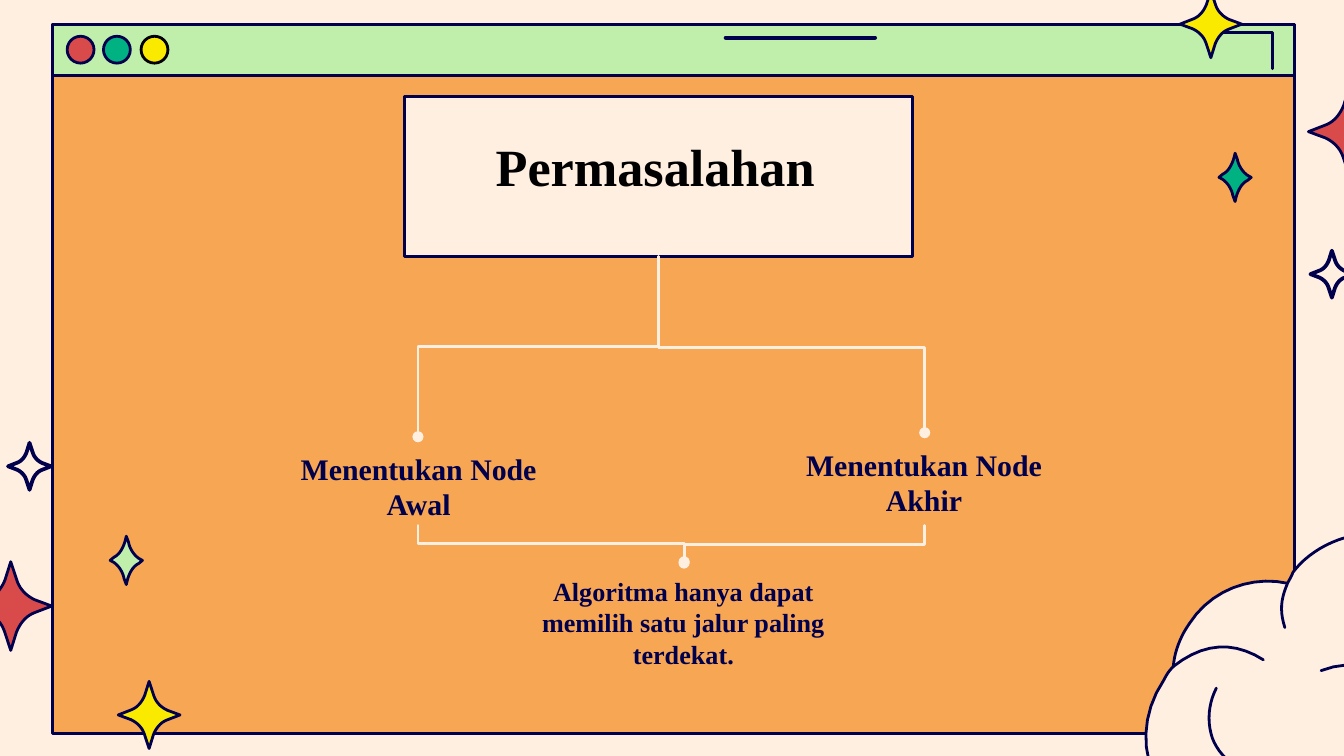
from lxml import etree
from pptx import Presentation
from pptx.dml import color
from pptx.enum import shapes, text
from pptx.oxml import ns
from pptx.util import Inches, Pt

NAVY, CREAM, ORANGE, MINT = "00004D", "FFEFE1", "F7A653", "C0EEAB"
RED, GREEN, YELLOW, BLACK = "D94A4A", "00B181", "FAEA00", "000000"
hue = color.RGBColor.from_string


def curve(points, steps=10):
    """Sample chained cubic curves: a start, then three points for each curve."""
    path = [points[0]]
    for i in range(0, len(points) - 1, 3):
        a, b, c, d = points[i:i + 4]
        for k in range(1, steps + 1):
            t = k / steps
            s = 1 - t
            path.append(tuple(
                s**3 * a[j] + 3 * s * s * t * b[j] + 3 * s * t * t * c[j] + t**3 * d[j]
                for j in (0, 1)))
    return path


def paint(shape, fill, line, width=1.5, tail=None):
    if fill:
        shape.fill.solid()
        shape.fill.fore_color.rgb = hue(fill)
    elif hasattr(shape, "fill"):
        shape.fill.background()
    shape.line.color.rgb = hue(line)
    shape.line.width = Pt(width)
    props = shape.element.spPr
    ln = props.find(ns.qn("a:ln"))
    ln.set("cap", "rnd")
    etree.SubElement(ln, ns.qn("a:round"))
    if tail:
        etree.SubElement(ln, ns.qn("a:tailEnd"), type=tail)
    etree.SubElement(props, ns.qn("a:effectLst"))


deck = Presentation()
deck.slide_width = Inches(10)
deck.slide_height = Inches(10 * 9 / 16)
slide = deck.slides.add_slide(deck.slide_layouts[0])
slide.background.fill.solid()
slide.background.fill.fore_color.rgb = hue(CREAM)
draw = slide.shapes

# Window, its buttons and the heading card
kind = shapes.MSO_SHAPE
for form, x, y, w, h, fill, line in [
    (kind.RECTANGLE, 0.39, 0.18, 9.24, 5.28, ORANGE, NAVY),
    (kind.RECTANGLE, 0.39, 0.18, 9.24, 0.38, MINT, NAVY),
    (kind.OVAL, 0.5, 0.27, 0.2, 0.2, RED, NAVY),
    (kind.OVAL, 0.77, 0.27, 0.2, 0.2, GREEN, NAVY),
    (kind.OVAL, 1.05, 0.27, 0.2, 0.2, YELLOW, BLACK),
    (kind.ROUNDED_RECTANGLE, 3.01, 0.72, 3.78, 1.19, CREAM, NAVY),
]:
    shape = draw.add_shape(form, *map(Inches, (x, y, w, h)))
    paint(shape, fill, line)
shape.adjustments[0] = 0

bar = draw.add_connector(shapes.MSO_CONNECTOR.STRAIGHT,
                         *map(Inches, (5.4, 0.28, 6.51, 0.28)))
paint(bar, None, NAVY, 2.25)

# Tree links leave and arrive vertically, so each elbow is a turned box
for x, y, to_x, to_y, bend in [
    (6.88, 3.91, 5.09, 4.19, 0.5),
    (3.11, 3.91, 5.09, 4.18, 0.5),
    (4.9, 1.91, 3.11, 3.25, 0.5),
    (4.9, 1.91, 6.88, 3.22, 0.517),
]:
    mid_x, mid_y = (x + to_x) / 2, (y + to_y) / 2
    high = abs(to_x - x) / 2
    right = to_x > x
    wide = (to_y - y) / 2 * (-1 if right else 1)
    link = draw.add_connector(
        shapes.MSO_CONNECTOR.ELBOW,
        *map(Inches, (mid_x - wide, mid_y - high, mid_x + wide, mid_y + high)))
    props = link.element.spPr
    props.find(ns.qn("a:xfrm")).set("rot", str((270 if right else 90) * 60000))
    guides = props.find(".//" + ns.qn("a:avLst"))
    etree.SubElement(guides, ns.qn("a:gd"), name="adj1", fmla=f"val {round(bend * 100000)}")
    paint(link, None, CREAM, tail="oval")

# Texts, each brought in front of the window
title, sub = draw.title, draw.placeholders[1]
head, end = (draw.add_textbox(0, 0, 0, 0) for _ in range(2))
for box, place, words, size, ink, inset in [
    (title, (2.03, 3.25, 2.17, 0.67), "Menentukan Node Awal", 16, NAVY, 0.1),
    (sub, (3.82, 4.18, 2.53, 0.84),
     "Algoritma hanya dapat memilih satu jalur paling terdekat.", 14, NAVY, 0.1),
    (head, (3.35, 0.95, 3.05, 0.57), "Permasalahan", 28, BLACK, 0.05),
    (end, (5.79, 3.22, 2.17, 0.68), "Menentukan Node Akhir", 16, NAVY, 0.1),
]:
    draw.element.append(box.element)
    box.left, box.top, box.width, box.height = map(Inches, place)
    frame = box.text_frame
    frame.text = words
    para = frame.paragraphs[0]
    looks = {
        frame: {"word_wrap": True, "auto_size": text.MSO_AUTO_SIZE.NONE,
                "vertical_anchor": text.MSO_ANCHOR.TOP,
                "margin_left": Inches(0.1), "margin_right": Inches(0.1),
                "margin_top": Inches(inset), "margin_bottom": Inches(inset)},
        para: {"alignment": text.PP_ALIGN.CENTER, "line_spacing": 1.0,
               "space_before": Pt(0)},
        para.runs[0].font: {"name": "Times New Roman", "size": Pt(size), "bold": True},
    }
    for part, values in looks.items():
        for name, value in values.items():
            setattr(part, name, value)
    para.runs[0].font.color.rgb = hue(ink)

# Outlines: points, closed, fill, line width
outlines = [([(9.09, 0.24), (9.47, 0.24), (9.47, 0.51)], False, None, 1.75)]

# A star is one arm turned four times
stars = []
for bow in [
    [(0.15, -0.58), (0.22, -0.38), (0.38, -0.23), (0.59, -0.14)],
    [(0.14, -0.75), (0.22, -0.45), (0.52, -0.18), (0.83, -0.06)],
]:
    arm = [(0, -1)] + curve(bow)
    unit = []
    for turn in range(4):
        unit += arm
        arm = [(-y, x) for x, y in arm]
    stars.append(unit)
broad, slim = stars
for unit, x, y, w, h, fill, width in [
    (slim, 0.94, 4.17, 0.24, 0.36, MINT, 1.5),
    (broad, 0.22, 3.47, 0.32, 0.35, None, 2),
    (broad, 1.11, 5.32, 0.46, 0.5, YELLOW, 1.5),
    (broad, 0.08, 4.51, 0.61, 0.66, RED, 1.5),
    (slim, 9.19, 1.32, 0.24, 0.36, GREEN, 1.5),
    (broad, 9.91, 2.04, 0.32, 0.35, None, 2),
    (broad, 9.01, 0.18, 0.46, 0.5, YELLOW, 1.5),
    (broad, 10.04, 0.98, 0.61, 0.66, RED, 1.5),
]:
    star = [(x + w / 2 * a, y + h / 2 * b) for a, b in unit]
    outlines.append((star, True, fill, width))

cloud = [
    (8.85, 4.64), (8.78, 4.74), (8.74, 4.85), (8.73, 4.96),
    (8.7, 4.99), (8.68, 5.02), (8.66, 5.06), (8.45, 5.37), (8.49, 5.78), (8.76, 5.96),
    (8.91, 6.06), (9.1, 6.06), (9.28, 5.99), (9.54, 6.26), (10, 6.25), (10.31, 5.96),
    (10.37, 5.91), (10.42, 5.85), (10.46, 5.79), (10.54, 5.67), (10.59, 5.53), (10.6, 5.39),
    (10.67, 5.35), (10.73, 5.29), (10.77, 5.23), (10.8, 5.18), (10.83, 5.12), (10.84, 5.06),
    (10.89, 4.84), (10.8, 4.62), (10.61, 4.47), (10.67, 4.38), (10.69, 4.29), (10.67, 4.2),
    (10.61, 4), (10.31, 3.91), (10.01, 4), (9.84, 4.05), (9.7, 4.15), (9.62, 4.26),
    (9.61, 4.29), (9.59, 4.32), (9.58, 4.34), (9.31, 4.28), (9.01, 4.39), (8.85, 4.64),
]
outlines.append((curve(cloud), True, CREAM, 1.5))
for fold in [
    [(9.83, 4.99), (10.14, 4.87), (10.4, 5.01), (10.6, 5.4)],
    [(8.73, 4.96), (8.96, 4.78), (9.18, 4.77), (9.4, 4.91)],
    [(9.58, 4.34), (9.53, 4.46), (9.52, 4.54), (9.56, 4.67)],
    [(9.05, 5.12), (8.99, 5.24), (8.98, 5.37), (9.02, 5.49),
     (9.06, 5.6), (9.16, 5.7), (9.28, 5.74)],
]:
    outlines.append((curve(fold), False, None, 1.5))

for points, closed, fill, width in outlines:
    spots = [(Inches(x), Inches(y)) for x, y in points]
    pen = draw.build_freeform(*spots[0])
    pen.add_line_segments(spots[1:], close=closed)
    paint(pen.convert_to_shape(), fill, NAVY, width)

deck.save("out.pptx")
